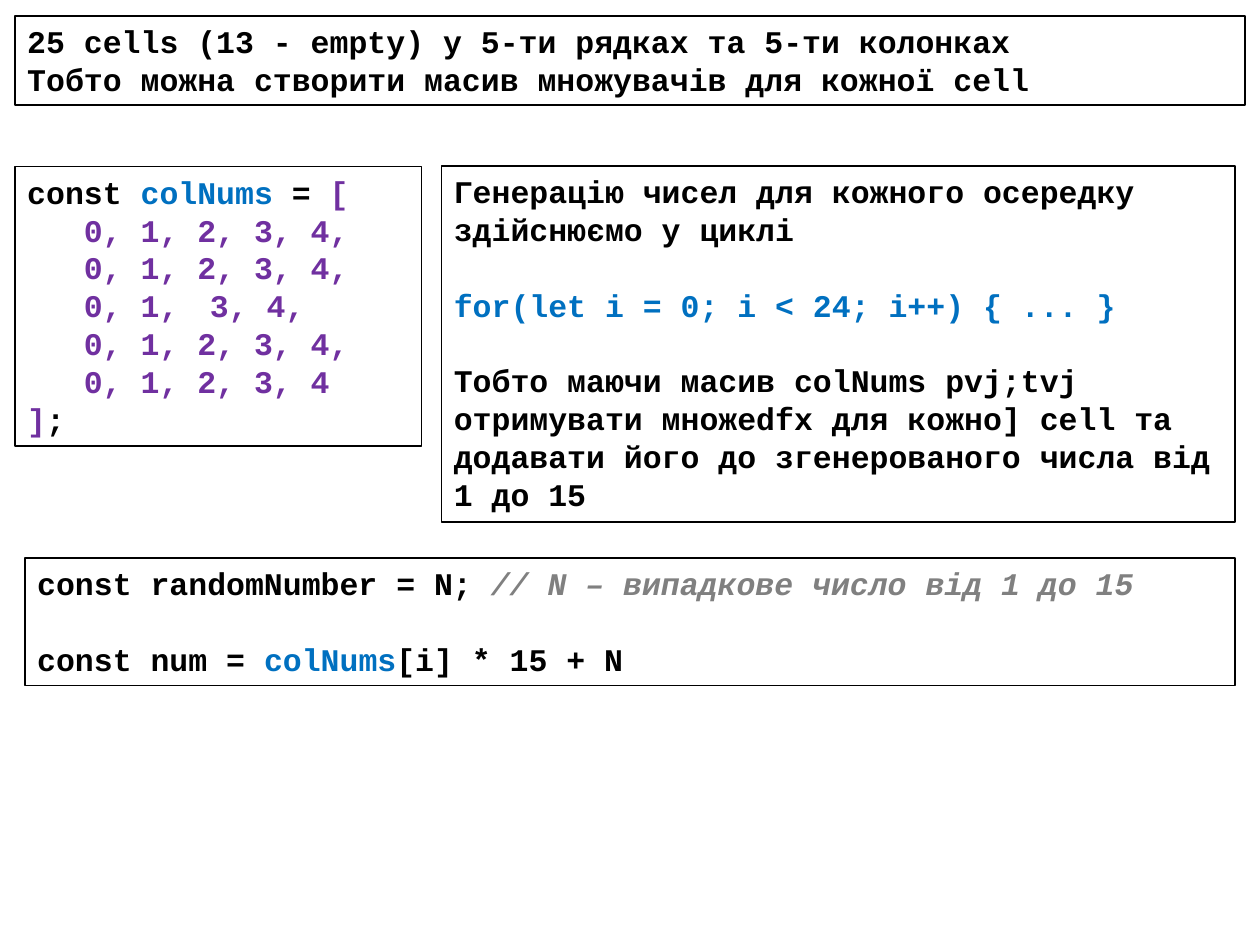
from pptx import Presentation
from pptx.dml.color import RGBColor
from pptx.enum.shapes import MSO_SHAPE
from pptx.enum.text import MSO_ANCHOR, PP_ALIGN
from pptx.oxml.xmlchemy import OxmlElement
from pptx.util import Cm, Pt

INK = {"black": "000000", "blue": "0070C0", "violet": "7030A0", "gray": "808080"}
CHAR = Pt(10.8)  # width of one letter of the code font
LINE = Pt(21.6)  # height of one line


def add_run(para, text, color="black", italic=False):
    run = para.add_run()
    run.text = text
    font = run.font
    font.name, font.size, font.bold, font.italic = "Courier New", Pt(18), True, italic
    font.color.rgb = RGBColor.from_string(INK[color])


def add_box(slide, place, paras):
    """Draw a framed box; each paragraph is (runs, indent in letters, gap in lines)."""
    box = slide.shapes.add_shape(MSO_SHAPE.RECTANGLE, *[Cm(n) for n in place])
    box.shadow.inherit = False
    box.fill.background()
    box.line.color.rgb = RGBColor.from_string(INK["black"])
    box.line.width = Pt(1)
    frame = box.text_frame
    frame.word_wrap = True
    frame.vertical_anchor = MSO_ANCHOR.TOP
    for i, (runs, indent, gap) in enumerate(paras):
        para = frame.paragraphs[0] if i == 0 else frame.add_paragraph()
        para.alignment = PP_ALIGN.LEFT
        para.space_before = gap * LINE
        props = para._p.get_or_add_pPr()
        props.set("marL", str(indent * CHAR))
        props.set("indent", "0")
        if any("\t" in run[0] for run in runs):
            tabs = OxmlElement("a:tabLst")
            stop = OxmlElement("a:tab")
            stop.set("pos", str((indent + 9) * CHAR))
            stop.set("algn", "l")
            tabs.append(stop)
            props.append(tabs)
        for run in runs:
            add_run(para, *run)


deck = Presentation()
deck.slide_width, deck.slide_height = Cm(25.4), Cm(19.05)
slide = deck.slides.add_slide(deck.slide_layouts[6])

add_box(slide, (0.3, 0.32, 24.8, 1.8), [
    ([("25 cells (13 - empty) у 5-ти рядках та 5-ти колонках",)], 0, 0),
    ([("Тобто можна створити масив множувачів для кожної cell",)], 0, 0),
])

full = "0, 1, 2, 3, 4"
rows = [full + ","] * 2 + ["0, 1,\t3, 4,", full + ",", full]
add_box(slide, (0.3, 3.36, 8.2, 5.63), [
    ([("const ",), ("colNums", "blue"), (" = ",), ("[", "violet")], 0, 0),
    *[([(row, "violet")], 3, 0) for row in rows],
    ([("]", "violet"), (";",)], 0, 0),
])

add_box(slide, (8.9, 3.35, 16, 7.18), [
    ([("Генерацію чисел для кожного осередку",)], 0, 0),
    ([("здійснюємо у циклі",)], 0, 0),
    ([("for(let i = 0; i < 24; i++) { ... }", "blue")], 0, 1),
    ([("Тобто маючи масив colNums pvj;tvj отримувати множedfx для кожно] cell "
       "та додавати його до згенерованого числа від 1 до 15",)], 0, 1),
])

add_box(slide, (0.5, 11.25, 24.4, 2.57), [
    ([("const randomNumber = N; ",),
      ("// N – випадкове число від 1 до 15", "gray", True)], 0, 0),
    ([("const num = ",), ("colNums", "blue"), ("[i] * 15 + N",)], 0, 1),
])

deck.save("out.pptx")
